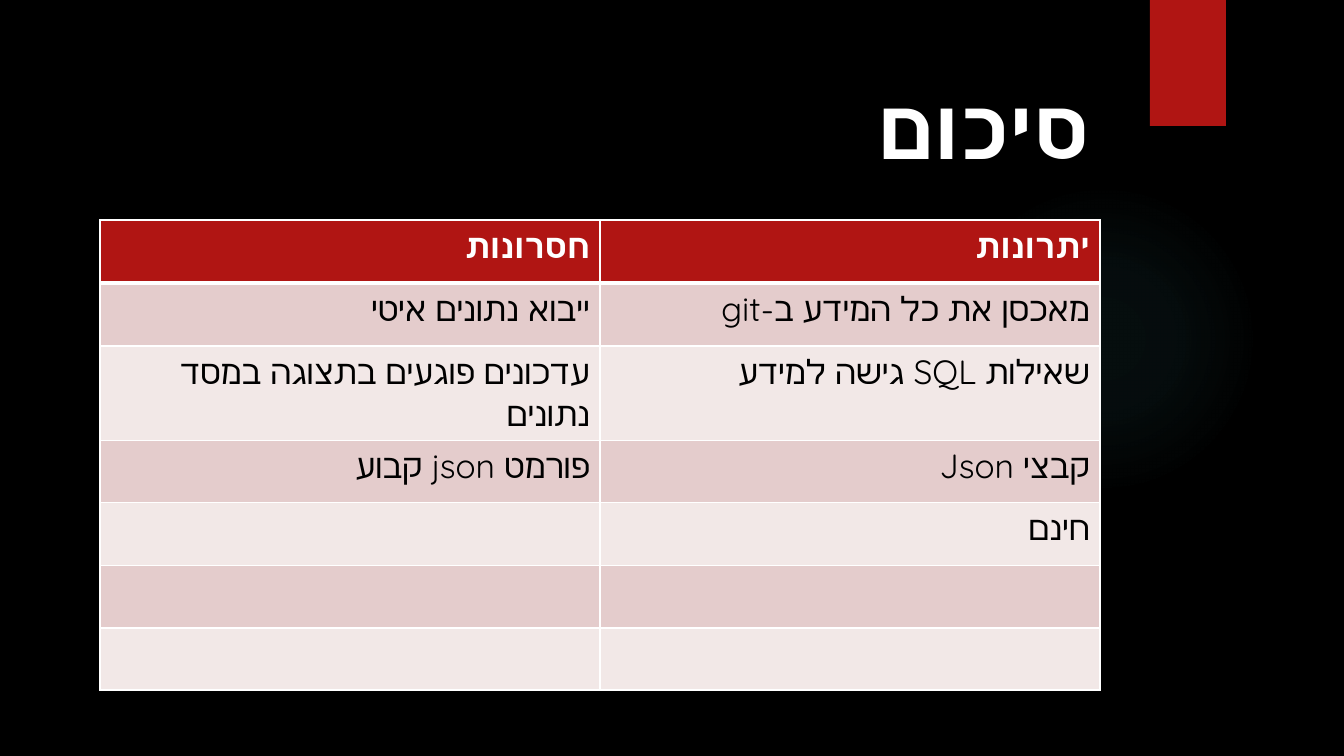
from lxml.etree import SubElement
from pptx import Presentation
from pptx.dml.color import RGBColor
from pptx.enum.shapes import MSO_SHAPE
from pptx.enum.text import MSO_ANCHOR, PP_ALIGN
from pptx.oxml import parse_xml
from pptx.oxml.ns import nsdecls, qn
from pptx.util import Pt

EMU_PER_PX = 914400 / 100.8
FONT = "Quicksand"
WHITE, BLACK, RED, TEAL = "FFFFFF", "000000", "B01513", "50B9C1"
BANDS = ["E4CCCC", "F2E8E7"]

HEADERS = ["חסרונות", "יתרונות"]
ROWS = [
    ["ייבוא נתונים איטי ", "מאכסן את כל המידע ב-git"],
    ["עדכונים פוגעים בתצוגה במסד נתונים", "שאילות SQL גישה למידע"],
    ["פורמט json קבוע", "קבצי Json"],
    ["", "חינם"],
    ["", ""],
    ["", ""],
]
ROW_HEIGHTS = [63, 63, 67, 62, 63, 63, 62]


def px(length):
    return round(length * EMU_PER_PX)


def box(*lengths):
    return [px(length) for length in lengths]


def color(hex_string):
    return RGBColor.from_string(hex_string)


def write_hebrew(text_frame, text, size, text_color, bold):
    """Right-to-left text, with the font also set for complex scripts."""
    text_frame.text = text
    paragraph = text_frame.paragraphs[0]
    paragraph.alignment = PP_ALIGN.RIGHT
    properties = paragraph._p.get_or_add_pPr()
    properties.set("rtl", "1")
    font = paragraph.font
    font.name, font.size, font.bold = FONT, Pt(size), bold
    font.color.rgb = color(text_color)
    SubElement(properties.find(qn("a:defRPr")), qn("a:cs"), typeface=FONT)


def add_plain_shape(slide, kind, bounds, fill):
    shape = slide.shapes.add_shape(kind, *box(*bounds))
    shape.shadow.inherit = False
    shape.line.fill.background()
    shape.fill.solid()
    shape.fill.fore_color.rgb = color(fill)
    return shape


def add_glow(slide, bounds, fill, stops):
    """Circle that fades outwards; stops are (position, opacity) in percent."""
    shape = add_plain_shape(slide, MSO_SHAPE.OVAL, bounds, fill)
    stop_xml = "".join(
        f'<a:gs pos="{position * 1000}"><a:srgbClr val="{fill}">'
        f'<a:alpha val="{opacity * 1000}"/></a:srgbClr></a:gs>'
        for position, opacity in stops
    )
    gradient = parse_xml(
        f'<a:gradFill {nsdecls("a")}><a:gsLst>{stop_xml}</a:gsLst>'
        '<a:path path="circle"><a:fillToRect l="50000" t="50000" '
        'r="50000" b="50000"/></a:path></a:gradFill>'
    )
    solid = shape._element.spPr.find(qn("a:solidFill"))
    solid.getparent().replace(solid, gradient)


def set_borders(cell, bottom_width=1, top_width=1):
    properties = cell._tc.get_or_add_tcPr()
    widths = {"L": 1, "R": 1, "T": top_width, "B": bottom_width}
    for side, width in widths.items():
        line = SubElement(properties, qn(f"a:ln{side}"), w=str(Pt(width)))
        fill = SubElement(line, qn("a:solidFill"))
        SubElement(fill, qn("a:srgbClr"), val=WHITE)


def add_summary_table(slide, bounds):
    rows = [HEADERS] + ROWS
    table = slide.shapes.add_table(len(rows), len(HEADERS), *box(*bounds)).table
    for row, height in zip(table.rows, ROW_HEIGHTS):
        row.height = px(height)
    for row_index, texts in enumerate(rows):
        header = row_index == 0
        for column_index, text in enumerate(texts):
            cell = table.cell(row_index, column_index)
            set_borders(cell, 3 if header else 1, 3 if row_index == 1 else 1)
            cell.fill.solid()
            cell.fill.fore_color.rgb = color(RED if header else BANDS[(row_index - 1) % 2])
            if text:
                write_hebrew(cell.text_frame, text, 24, WHITE if header else BLACK, header)


def set_title(slide, bounds, text):
    title = slide.shapes.title
    title.left, title.top, title.width, title.height = box(*bounds)
    title.text_frame.vertical_anchor = MSO_ANCHOR.MIDDLE
    write_hebrew(title.text_frame, text, 60, WHITE, True)


def main():
    presentation = Presentation()
    presentation.slide_width, presentation.slide_height = box(1344, 756)
    slide = presentation.slides.add_slide(presentation.slide_layouts[5])

    # Background and decoration
    slide.background.fill.solid()
    slide.background.fill.fore_color.rgb = color(BLACK)
    add_glow(slide, (949, 184, 310, 310), TEAL, [(0, 7), (36, 6), (69, 0)])
    add_plain_shape(slide, MSO_SHAPE.RECTANGLE, (1150, 0, 76, 126), RED)

    # Content
    set_title(slide, (127, 51, 973, 149), "סיכום")
    add_summary_table(slide, (100, 220, 1000, 443))

    presentation.save("out.pptx")


if __name__ == "__main__":
    main()
